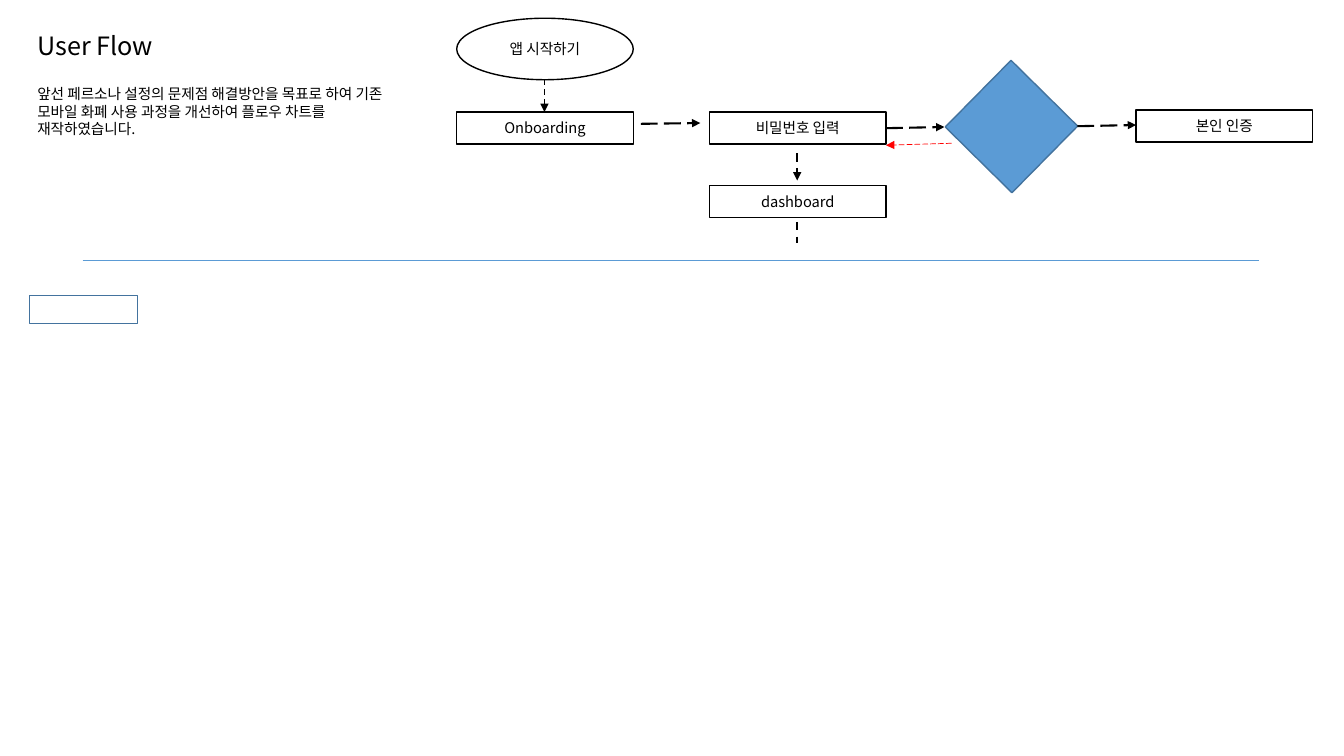
"""Builds the User Flow slide with its flow chart."""
import pptx
import pptx.dml.color
import pptx.enum.dml
import pptx.enum.shapes
import pptx.enum.text
import pptx.oxml
import pptx.oxml.ns
import pptx.util

Cm = pptx.util.Cm
Pt = pptx.util.Pt
SHAPE = pptx.enum.shapes.MSO_SHAPE
DASH = pptx.enum.dml.MSO_LINE.DASH
LONG_DASH = pptx.enum.dml.MSO_LINE.LONG_DASH
ALIGN = pptx.enum.text.PP_ALIGN
ANCHOR = pptx.enum.text.MSO_ANCHOR

BLACK = pptx.dml.color.RGBColor(0x00, 0x00, 0x00)
RED = pptx.dml.color.RGBColor(0xFF, 0x00, 0x00)
BLUE = pptx.dml.color.RGBColor(0x5B, 0x9B, 0xD5)
DARK_BLUE = pptx.dml.color.RGBColor(0x43, 0x73, 0x9E)
FONT = "Noto Sans CJK KR"

STEP_WIDTH, STEP_HEIGHT = 4.45, 0.81
STEPS = [
    ("Onboarding", 11.51, 2.82),
    ("비밀번호 입력", 17.88, 2.82),
    ("dashboard", 17.88, 4.67),
    ("본인 인증", 28.63, 2.77),
]
ARROWS = [
    (16.15, 3.12, 17.65, 3.1, BLACK, 1.5, LONG_DASH),
    (13.72, 2.01, 13.72, 2.82, BLACK, 1, DASH),
    (22.33, 3.23, 23.8, 3.2, BLACK, 1.5, LONG_DASH),
    (27.15, 3.18, 28.63, 3.15, BLACK, 1.5, LONG_DASH),
    (23.98, 3.61, 22.33, 3.66, RED, 0.5, LONG_DASH),
    (20.09, 3.86, 20.09, 4.55, BLACK, 1.5, DASH),
]


def add_element(parent, tag, **attributes):
    element = pptx.oxml.parse_xml(f"<{tag} {pptx.oxml.ns.nsdecls('a')}/>")
    for name, value in attributes.items():
        element.set(name, value)
    parent.append(element)


class FlowPage:
    def __init__(self, page):
        self.page = page

    def label(self, box, text, size, align, anchor, wrap):
        frame = box.text_frame
        frame.text = text
        frame.word_wrap = wrap
        frame.auto_size = pptx.enum.text.MSO_AUTO_SIZE.NONE
        frame.vertical_anchor = anchor
        frame.margin_left = frame.margin_right = Cm(0.25)
        frame.margin_top = frame.margin_bottom = Cm(0.13)
        for para in frame.paragraphs:
            para.alignment = align
            para.line_spacing = 1.0
            para.space_before = Pt(0)
            for span in para.runs:
                span.font.name = FONT
                span.font.size = Pt(size)
                span.font.color.rgb = BLACK
                add_element(span._r.get_or_add_rPr(), "a:ea", typeface=FONT)

    def placeholder(self, box, text, left, top, width, height, size):
        box.left, box.top = Cm(left), Cm(top)
        box.width, box.height = Cm(width), Cm(height)
        self.label(box, text, size, ALIGN.LEFT, ANCHOR.TOP, True)
        for para in box.text_frame.paragraphs:
            properties = para._p.get_or_add_pPr()
            properties.set("marL", "0")
            properties.set("indent", "0")
            add_element(properties, "a:buNone")

    def shape(self, kind, left, top, width, height, text="", line=BLACK, fill=None):
        box = self.page.shapes.add_shape(kind, Cm(left), Cm(top), Cm(width), Cm(height))
        box.shadow.inherit = False
        box.line.color.rgb = line
        box.line.width = Pt(1)
        if fill is None:
            box.fill.background()
        else:
            box.fill.solid()
            box.fill.fore_color.rgb = fill
        if text:
            self.label(box, text, 10.5, ALIGN.CENTER, ANCHOR.MIDDLE, False)
        return box

    def line(self, left, top, right, bottom, color, width, dash=None, arrow=False):
        line = self.page.shapes.add_connector(
            pptx.enum.shapes.MSO_CONNECTOR.STRAIGHT, Cm(left), Cm(top), Cm(right), Cm(bottom))
        line.line.color.rgb = color
        line.line.width = Pt(width)
        if dash is not None:
            line.line.dash_style = dash
        if arrow:
            add_element(line._element.spPr.get_or_add_ln(), "a:tailEnd", type="triangle")
        add_element(line._element.spPr, "a:effectLst")


def main():
    deck = pptx.Presentation()
    deck.slide_width, deck.slide_height = Cm(33.87), Cm(19.05)
    page = deck.slides.add_slide(deck.slide_layouts[1])
    flow = FlowPage(page)

    flow.placeholder(page.shapes.title, "User Flow", 0.69, 0.64, 13.41, 1.02, 18)
    flow.placeholder(
        page.placeholders[1],
        "앞선 페르소나 설정의 문제점 해결방안을 목표로 하여 기존 모바일 화폐 사용 과정을 "
        "개선하여 플로우 차트를 재작하였습니다.",
        0.69, 2.01, 9.53, 1.6, 10.5)

    flow.shape(SHAPE.OVAL, 11.51, 0.46, STEP_WIDTH, 1.55, "앱 시작하기")
    for text, left, top in STEPS:
        flow.shape(SHAPE.RECTANGLE, left, top, STEP_WIDTH, STEP_HEIGHT, text)
    decision = flow.shape(SHAPE.RECTANGLE, 24.31, 2.01, 2.36, 2.36, line=DARK_BLUE, fill=BLUE)
    decision.rotation = 44.6

    for arrow in ARROWS:
        flow.line(*arrow, arrow=True)
    flow.line(20.09, 5.59, 20.09, 6.12, BLACK, 1.5, DASH)
    flow.line(2.08, 6.55, 31.72, 6.55, BLUE, 0.5)
    flow.shape(SHAPE.RECTANGLE, 0.74, 7.44, 2.72, 0.71, line=DARK_BLUE)

    deck.save("out.pptx")


if __name__ == "__main__":
    main()
